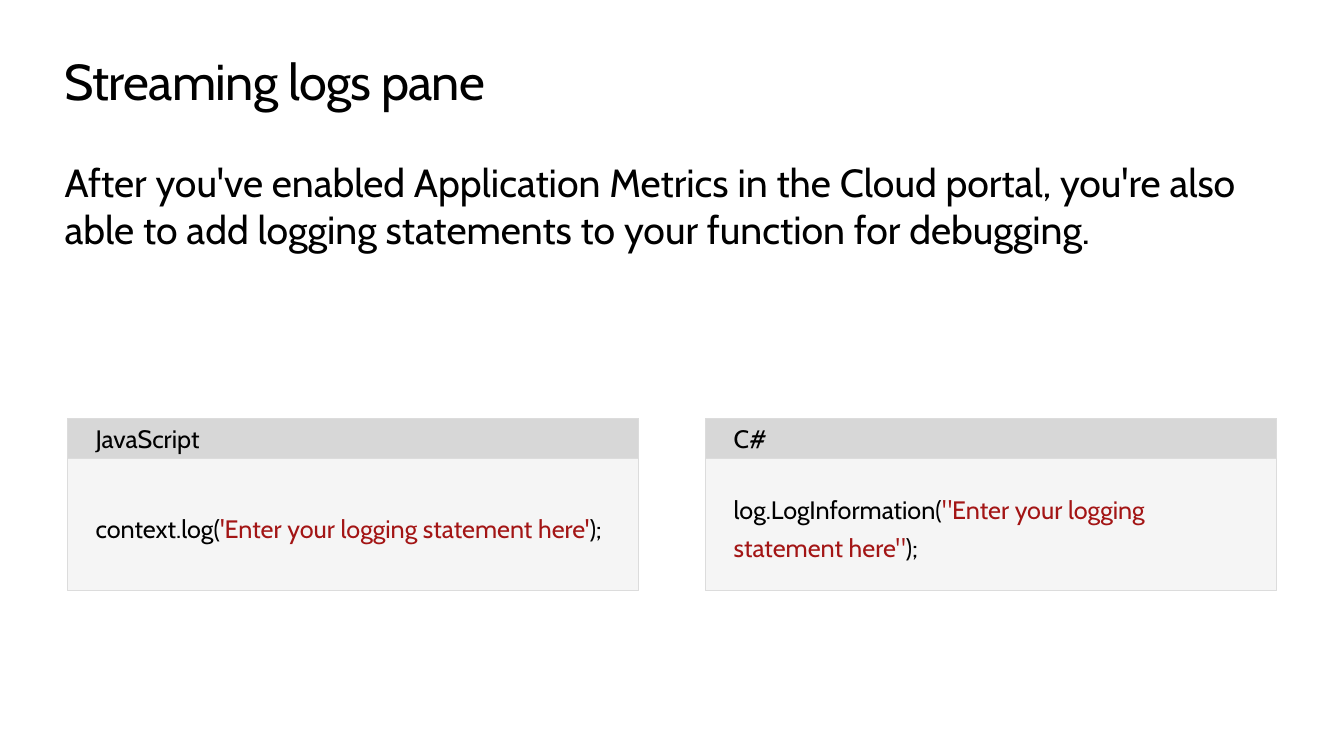
from lxml import etree
from pptx import Presentation
from pptx.dml.color import RGBColor
from pptx.enum.shapes import MSO_SHAPE
from pptx.enum.text import MSO_ANCHOR, MSO_AUTO_SIZE, PP_ALIGN
from pptx.oxml.ns import qn
from pptx.util import Cm, Pt

RECT = MSO_SHAPE.RECTANGLE
TOP, MIDDLE = MSO_ANCHOR.TOP, MSO_ANCHOR.MIDDLE
LEFT = PP_ALIGN.LEFT
NO_FIT = MSO_AUTO_SIZE.NONE

FONT = "Cabin"
BLACK = RGBColor(0x00, 0x00, 0x00)
RED = RGBColor(0xA3, 0x15, 0x15)
HEADER_GREY = RGBColor(0xD7, 0xD7, 0xD7)
CODE_GREY = RGBColor(0xF5, 0xF5, 0xF5)
BORDER_GREY = RGBColor(0xDC, 0xDC, 0xDC)

PANEL_TOP, PANEL_WIDTH = Cm(10.54), Cm(14.4)
HEADER_HEIGHT, CODE_HEIGHT = Cm(1.02), Cm(3.33)
PANELS = [
    (Cm(1.7), "JavaScript", "context.log(", "'Enter your logging statement here'"),
    (Cm(17.78), "C#", "log.LogInformation(", '"Enter your logging statement here"'),
]


def format_frame(tf, anchor, insets):
    tf.word_wrap = True
    tf.auto_size = NO_FIT
    tf.vertical_anchor = anchor
    tf.margin_left, tf.margin_top, tf.margin_right, tf.margin_bottom = insets
    p = tf.paragraphs[0]
    p.alignment = LEFT
    return p


def add_run(p, text, size, color=BLACK):
    r = p.add_run()
    r.text = text
    r.font.name = FONT
    r.font.size = Pt(size)
    r.font.color.rgb = color
    return r


def fill_placeholder(sp, top, height, text, size):
    sp.left, sp.top, sp.width, sp.height = Cm(1.63), top, Cm(30.61), height
    p = format_frame(sp.text_frame, TOP, [0] * 4)
    return p, add_run(p, text, size)


def remove_bullet(p):
    pPr = p._p.get_or_add_pPr()
    pPr.set("marL", "0")
    pPr.set("indent", "0")
    etree.SubElement(pPr, qn("a:buNone"))


def add_box(s, left, top, height, fill, insets):
    sp = s.shapes.add_shape(RECT, left, top, PANEL_WIDTH, height)
    sp.shadow.inherit = False
    sp.fill.solid()
    sp.fill.fore_color.rgb = fill
    sp.line.color.rgb = BORDER_GREY
    sp.line.width = Pt(0.85)
    return format_frame(sp.text_frame, MIDDLE, insets)


def add_code_panel(s, left, language, call, message):
    p = add_box(s, left, PANEL_TOP + HEADER_HEIGHT, CODE_HEIGHT, CODE_GREY,
                [Cm(0.71)] * 4)
    p.line_spacing = 1.25
    for text, color in ((call, BLACK), (message, RED), (");", BLACK)):
        add_run(p, text, 18, color)
    p = add_box(s, left, PANEL_TOP, HEADER_HEIGHT, HEADER_GREY,
                [Cm(0.71), Cm(0.13), Cm(0.25), Cm(0.13)])
    add_run(p, language, 18)


def main():
    prs = Presentation()
    prs.slide_width, prs.slide_height = Cm(33.87), Cm(19.05)
    s = prs.slides.add_slide(prs.slide_layouts[1])

    p, r = fill_placeholder(s.shapes.title, Cm(1.27), Cm(1.52),
                            "Streaming logs pane", 36)
    r.font._element.set("spc", "-50")

    p, r = fill_placeholder(
        s.placeholders[1], Cm(3.99), Cm(2.36),
        "After you've enabled Application Metrics in the Cloud portal, you're also "
        "able to add logging statements to your function for debugging.", 28)
    remove_bullet(p)

    for panel in PANELS:
        add_code_panel(s, *panel)

    prs.save("out.pptx")


if __name__ == "__main__":
    main()
